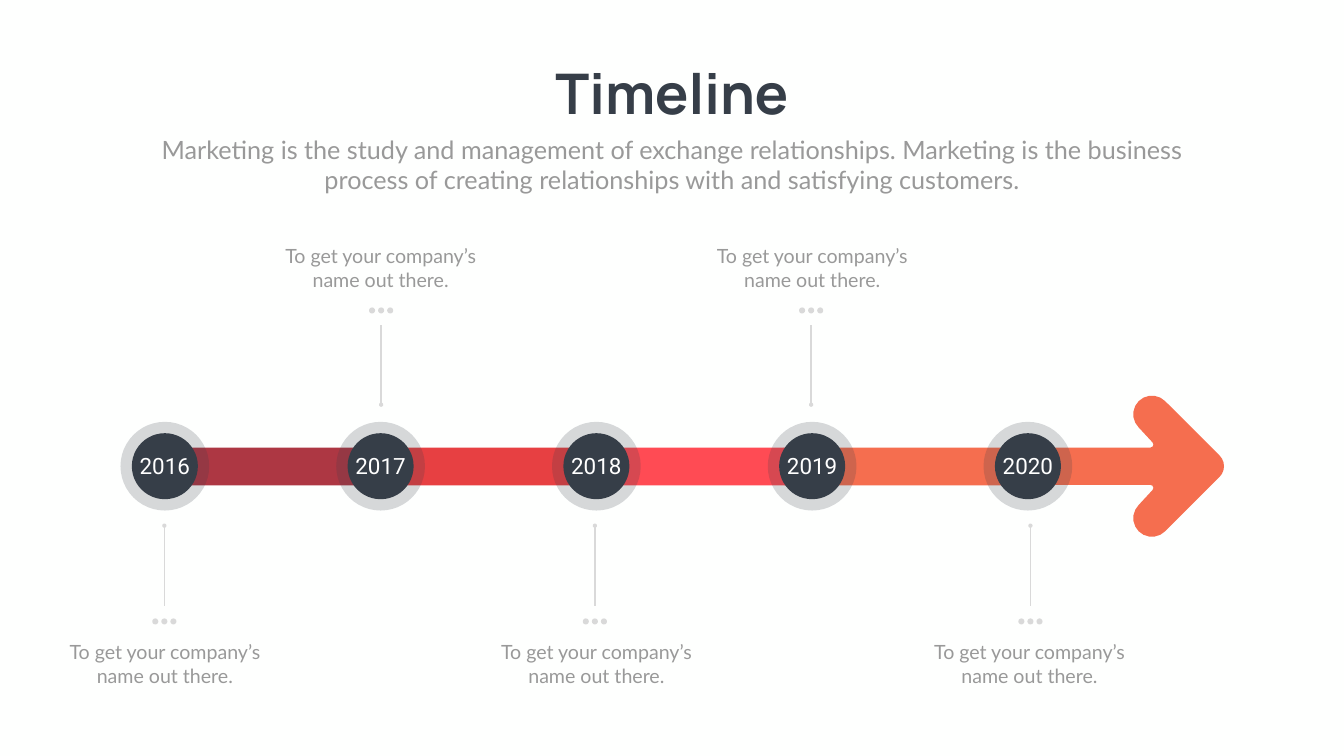
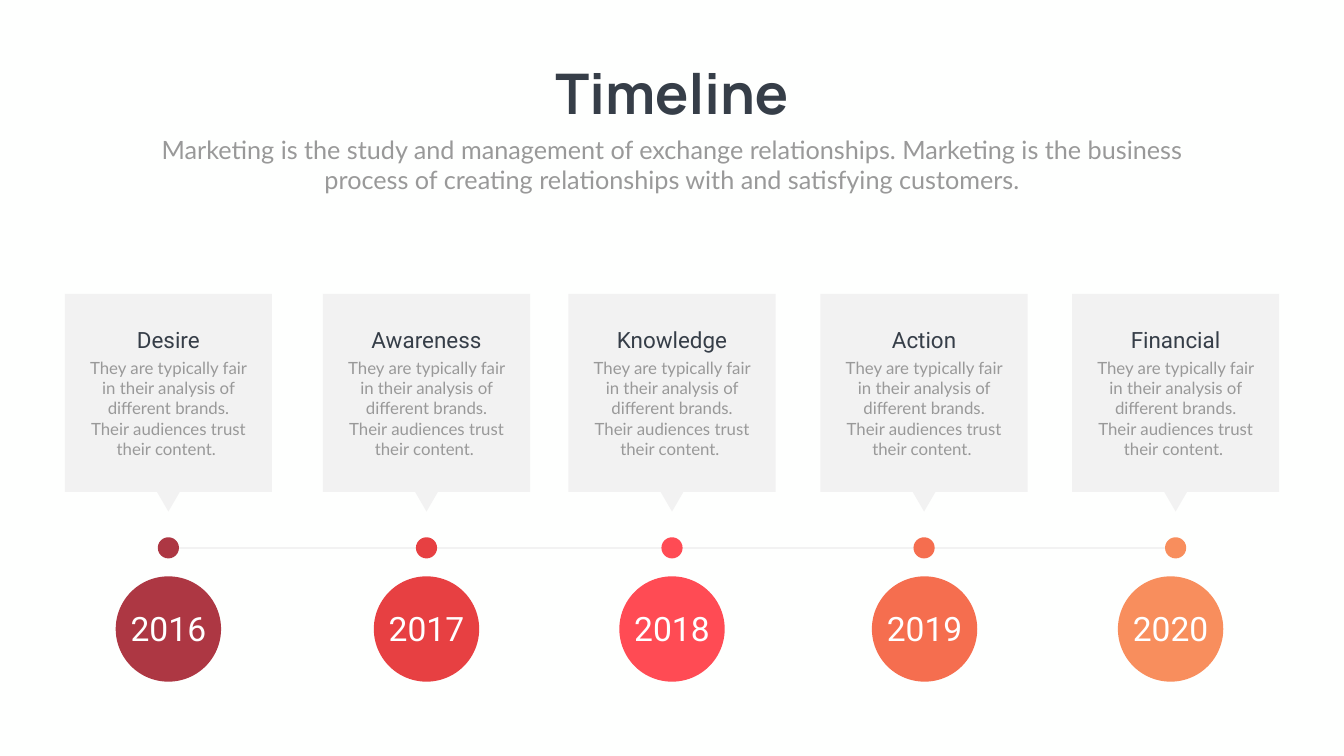
"""Build two timeline slides: an arrow with dated nodes and a row of stage cards."""
from math import cos, radians, sin
from typing import NamedTuple

from lxml.etree import SubElement
from pptx import Presentation
from pptx.dml.color import RGBColor
from pptx.enum.shapes import MSO_CONNECTOR, MSO_SHAPE
from pptx.enum.text import MSO_ANCHOR, MSO_AUTO_SIZE, PP_ALIGN
from pptx.oxml.ns import qn
from pptx.shapes.autoshape import Shape
from pptx.shapes.connector import Connector
from pptx.slide import Slide
from pptx.text.text import TextFrame
from pptx.util import Inches, Pt

PAPER = RGBColor(0xFE, 0xFF, 0xFE)
DARK = RGBColor(0x36, 0x3E, 0x48)
GREY = RGBColor(0x99, 0x99, 0x99)
RULE = RGBColor(0xD9, 0xD9, 0xD9)
CARD = RGBColor(0xF2, 0xF2, 0xF2)
WHITE = RGBColor(0xFF, 0xFF, 0xFF)
WINE = RGBColor(0xAD, 0x37, 0x43)
RED = RGBColor(0xE7, 0x40, 0x42)
ROSE = RGBColor(0xFF, 0x4B, 0x54)
CORAL = RGBColor(0xF5, 0x6E, 0x4F)
PEACH = RGBColor(0xF8, 0x8E, 0x5D)

TITLE = "Timeline"
LEAD = (
    "Marketing is the study and management of exchange relationships. "
    "Marketing is the business process of creating relationships with "
    "and satisfying customers."
)
NOTE = "To get your company’s name out there."
STORY = (
    "They are typically fair in their analysis of different brands. "
    "Their audiences trust their content. "
)
AXIS = 9.25


class Node(NamedTuple):
    """A dated point on the arrow, with the x of its stem and its note."""
    year: str
    stem: float
    note: float
    above: bool


class Bar(NamedTuple):
    """A coloured stretch of the arrow's shaft."""
    left: float
    color: RGBColor


class Stage(NamedTuple):
    """A card with its dot and the disc that holds its year."""
    name: str
    year: str
    mid: float
    disc: float
    color: RGBColor


class Arc(NamedTuple):
    """A rounded corner of the arrow, angles in degrees."""
    x: float
    y: float
    radius: float
    start: int
    end: int
    steps: int


NODES = [
    Node("2016", 3.26, 3.27, False),
    Node("2017", 7.56, 7.55, True),
    Node("2018", 11.8, 11.83, False),
    Node("2019", 16.09, 16.11, True),
    Node("2020", 20.44, 20.42, False),
]
BARS = [Bar(15.23, CORAL), Bar(11.04, ROSE), Bar(6.89, RED), Bar(2.7, WINE)]
STAGES = [
    Stage("Desire", "2016", 3.34, 3.34, WINE),
    Stage("Awareness", "2017", 8.46, 8.46, RED),
    Stage("Knowledge", "2018", 13.33, 13.33, ROSE),
    Stage("Action", "2019", 18.33, 18.34, CORAL),
    Stage("Financial", "2020", 23.32, 23.22, PEACH),
]
ARCS = [
    Arc(23.98, AXIS, 0.3, 0, -45, 3),
    Arc(22.85, 8.22, 0.37, -45, -225, 10),
    Arc(22.82, 8.82, 0.06, -45, 90, 3),
    Arc(20.65, AXIS, 0.37, -90, -180, 3),
]


def write(frame: TextFrame, text: str, *, size: int, font: str = "Lato",
          color: RGBColor = GREY, bold: bool = False, wrap: bool = True) -> None:
    """Fill a frame with one centred paragraph."""
    frame.word_wrap = wrap
    frame.auto_size = MSO_AUTO_SIZE.SHAPE_TO_FIT_TEXT
    frame.vertical_anchor = MSO_ANCHOR.TOP
    para = frame.paragraphs[0]
    para.alignment = PP_ALIGN.CENTER
    para.space_before = Pt(0)
    para.line_spacing = 1.0
    run = para.add_run()
    run.text = text
    run.font.name = font
    run.font.size = Pt(size)
    run.font.bold = bold
    run.font.color.rgb = color


def label(slide: Slide, text: str, mid: float, top: float, width: float,
          height: float, **style) -> None:
    """Add a text box centred on mid."""
    box = slide.shapes.add_textbox(
        Inches(mid - width / 2), Inches(top), Inches(width), Inches(height))
    write(box.text_frame, text, **style)


def paint(shape: Shape, color: RGBColor) -> Shape:
    """Give a shape a flat fill with no line or shadow."""
    shape.shadow.inherit = False
    shape.fill.solid()
    shape.fill.fore_color.rgb = color
    shape.line.fill.background()
    return shape


def block(slide: Slide, kind: MSO_SHAPE, mid: float, top: float, width: float,
          height: float, color: RGBColor) -> Shape:
    """Add a flat preset shape centred on mid."""
    return paint(slide.shapes.add_shape(
        kind, Inches(mid - width / 2), Inches(top), Inches(width), Inches(height)), color)


def disc(slide: Slide, mid: float, center: float, size: float, color: RGBColor) -> Shape:
    """Add a circle around a centre point."""
    return block(slide, MSO_SHAPE.OVAL, mid, center - size / 2, size, size, color)


def fade(shape: Shape, percent: int) -> None:
    """Set the opacity of a solid fill."""
    tint = shape._element.spPr.find(qn("a:solidFill")).find(qn("a:srgbClr"))
    SubElement(tint, qn("a:alpha")).set("val", str(percent * 1000))


def rule(slide: Slide, start: tuple[float, float], end: tuple[float, float],
         color: RGBColor, width: int) -> Connector:
    """Add a straight line without shadow."""
    line = slide.shapes.add_connector(
        MSO_CONNECTOR.STRAIGHT, *(Inches(n) for n in start + end))
    line.line.color.rgb = color
    line.line.width = Pt(width)
    SubElement(line._element.spPr, qn("a:effectLst"))
    return line


def trace(arc: Arc) -> list[tuple[float, float]]:
    """List the points along an arc."""
    turns = [radians(arc.start + (arc.end - arc.start) * n / arc.steps)
             for n in range(arc.steps + 1)]
    return [(arc.x + arc.radius * cos(t), arc.y + arc.radius * sin(t)) for t in turns]


def arrow(slide: Slide) -> None:
    """Draw the arrow's head from its upper half and the mirror of it."""
    upper = [point for arc in ARCS for point in trace(arc)]
    lower = [(x, 2 * AXIS - y) for x, y in upper[-2:0:-1]]
    points = [(Inches(x), Inches(y)) for x, y in upper + lower]
    pen = slide.shapes.build_freeform(*points[0])
    pen.add_line_segments(points[1:], close=True)
    paint(pen.convert_to_shape(), CORAL)


def stem(slide: Slide, node: Node) -> None:
    """Draw a node's stem and the three dots at its end."""
    near, far, dots = (8.03, 6.44, 6.16) if node.above else (10.43, 12.02, 12.33)
    line = rule(slide, (node.stem, near), (node.stem, far), RULE, 2)
    SubElement(line.line._get_or_add_ln(), qn("a:headEnd")).set("type", "oval")
    for step in (-1, 0, 1):
        disc(slide, node.stem + step * 0.18, dots, 0.12, RULE)


def start(deck: Presentation) -> Slide:
    """Add a slide with the shared title and lead."""
    slide = deck.slides.add_slide(deck.slide_layouts[0])
    title, lead = slide.placeholders
    for holder, place in ((title, (10.74, 1.12, 5.18, 1.45)),
                          (lead, (2.92, 2.61, 20.82, 1.31))):
        holder.left, holder.top, holder.width, holder.height = map(Inches, place)
    write(title.text_frame, TITLE, size=80, font="Manrope", color=DARK, bold=True, wrap=False)
    write(lead.text_frame, LEAD, size=36)
    return slide


def route(deck: Presentation) -> None:
    """Build the slide with the arrow."""
    slide = start(deck)
    arrow(slide)
    for bar in BARS:
        shaft = block(slide, MSO_SHAPE.ROUNDED_RECTANGLE, bar.left + 2.52, 8.88,
                      5.04, 0.75, bar.color)
        shaft.adjustments[0] = 0.5
    for index, node in enumerate(NODES):
        mid = 3.27 + 4.28 * index
        fade(disc(slide, mid, AXIS, 1.76, DARK), 20)
        disc(slide, mid, AXIS, 1.31, DARK)
        label(slide, node.year, mid, 8.93, 1.76, 0.64, size=32, font="Roboto", color=WHITE)
        stem(slide, node)
        label(slide, NOTE, node.note, 4.8 if node.above else 12.65, 4.59, 1.04, size=28)


def cards(deck: Presentation) -> None:
    """Build the slide with the stage cards."""
    slide = start(deck)
    rule(slide, (3.25, 10.87), (23.5, 10.87), CARD, 3)
    for stage in STAGES:
        mid = stage.mid
        disc(slide, mid, 10.87, 0.42, stage.color)
        block(slide, MSO_SHAPE.RECTANGLE, mid, 5.83, 4.11, 3.93, CARD)
        tip = block(slide, MSO_SHAPE.ISOSCELES_TRIANGLE, mid, 9.59, 0.65, 0.56, CARD)
        tip.rotation = 180
        label(slide, STORY, mid, 7.05, 3.31, 2.12, size=24)
        label(slide, stage.name, mid, 6.42, 3.31, 0.64, size=32, font="Roboto", color=DARK)
        disc(slide, stage.disc, 12.48, 2.09, stage.color)
        label(slide, stage.year, stage.disc, 12.02, 2.64, 0.91,
              size=48, font="Roboto", color=WHITE)


def main() -> None:
    """Build and save the deck."""
    deck = Presentation()
    deck.slide_width, deck.slide_height = Inches(26.66), Inches(15)
    back = deck.slide_master.background.fill
    back.solid()
    back.fore_color.rgb = PAPER
    route(deck)
    cards(deck)
    deck.save("out.pptx")


if __name__ == "__main__":
    main()
